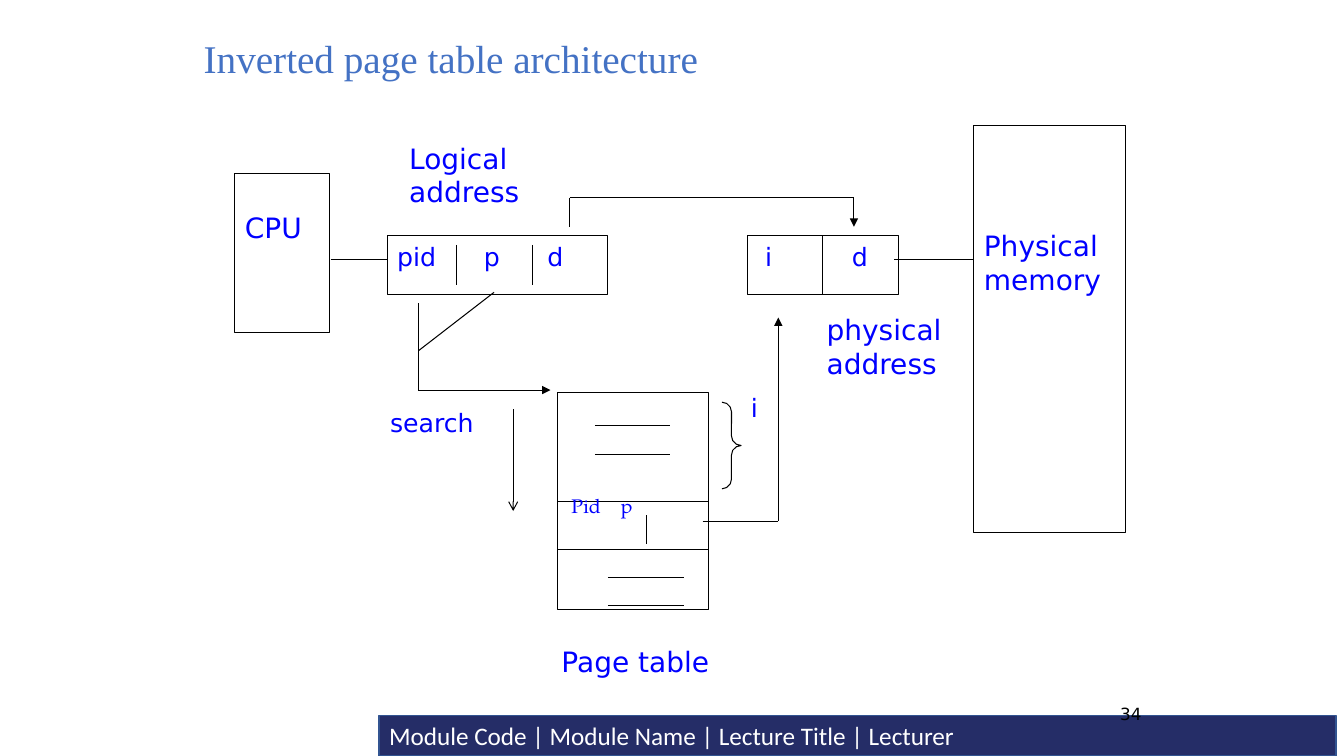
import pptx
import pptx.util
import pptx.dml.color
import pptx.enum.shapes
import pptx.enum.text
import pptx.oxml
import pptx.oxml.ns

RGB = pptx.dml.color.RGBColor
SHAPE = pptx.enum.shapes.MSO_SHAPE
ALIGN = pptx.enum.text.PP_ALIGN
ANCHOR = pptx.enum.text.MSO_ANCHOR
BLUE = RGB(0x00, 0x00, 0xFF)
TITLE_BLUE = RGB(0x44, 0x72, 0xC4)
NAVY = RGB(0x25, 0x2D, 0x67)
NAVY_EDGE = RGB(0x32, 0x54, 0x91)
WHITE = RGB(0xFF, 0xFF, 0xFF)
BLACK = RGB(0x00, 0x00, 0x00)
PX = 9144
BODY_FONT = "DejaVu Sans"


def px(*lengths):
    """Turn whole px into EMU."""
    return [pptx.util.Emu(n * PX) for n in lengths]


def write(sp, lines, size, color=BLUE, font=BODY_FONT, anchor=ANCHOR.TOP,
          align=ALIGN.LEFT, spacing=1.0):
    """Fill a shape with formatted lines of text."""
    tf = sp.text_frame
    margins = dict(zip(("margin_left", "margin_top", "margin_right", "margin_bottom"),
                       px(10, 5, 10, 5)))
    for name, value in {"word_wrap": True, "vertical_anchor": anchor, **margins}.items():
        setattr(tf, name, value)
    tf.text = lines
    for p in tf.paragraphs:
        p.alignment, p.line_spacing = align, spacing
        for r in p.runs:
            values = {"name": font, "size": pptx.util.Pt(size), "bold": False}
            for name, value in values.items():
                setattr(r.font, name, value)
            r.font.color.rgb = color


def label(s, x, y, w, h, lines, size, **style):
    """Add a text box."""
    write(s.shapes.add_textbox(*px(x, y, w, h)), lines, size, **style)


def shape(s, box, kind=SHAPE.RECTANGLE, fill=WHITE, line=BLACK, width=0.75):
    """Add a flat outlined preset shape."""
    sp = s.shapes.add_shape(kind, *px(*box))
    sp.shadow.inherit = False
    if fill is None:
        sp.fill.background()
    else:
        sp.fill.solid()
        sp.fill.fore_color.rgb = fill
    sp.line.color.rgb = line
    sp.line.width = pptx.util.Pt(width)
    return sp


def line(s, x1, y1, x2, y2, head=None):
    """Add a thin black line, with an arrowhead at its end if named."""
    c = s.shapes.add_connector(pptx.enum.shapes.MSO_CONNECTOR.STRAIGHT, *px(x1, y1, x2, y2))
    c.line.color.rgb = BLACK
    c.line.width = pptx.util.Pt(0.75)
    if head:
        tail = pptx.oxml.parse_xml(
            f'<a:tailEnd {pptx.oxml.ns.nsdecls("a")} type="{head}"/>')
        c.line._get_or_add_ln().append(tail)
    effects = pptx.oxml.parse_xml(f'<a:effectLst {pptx.oxml.ns.nsdecls("a")}/>')
    c._element.spPr.append(effects)


def path_lines(s, points, head=None):
    """Join points with lines, the last one carrying the arrowhead."""
    legs = list(zip(points, points[1:]))
    for i, (start, end) in enumerate(legs):
        line(s, *start, *end, head if i == len(legs) - 1 else None)


def title(s, x, y, w, h):
    """Place the title."""
    sp = s.shapes.title
    for name, value in zip(("left", "top", "width", "height"), px(x, y, w, h)):
        setattr(sp, name, value)
    write(sp, "Inverted page table architecture", 28, color=TITLE_BLUE,
          font="Times New Roman", anchor=ANCHOR.MIDDLE, spacing=0.9)


def footer(s, x, y, w, h):
    """Draw the footer bar and the page number."""
    sp = shape(s, (x, y, w, h), fill=NAVY, line=NAVY_EDGE, width=1)
    write(sp, "Module Code | Module Name | Lecture Title | Lecturer", 18,
          color=WHITE, font="Calibri", anchor=ANCHOR.MIDDLE)
    label(s, x + 666, y - 27, 100, 50, "34", 12, color=BLACK,
          anchor=ANCHOR.MIDDLE, align=ALIGN.RIGHT)


def unit(s, x, y, w, h, lines, drop):
    """Draw a hardware block with its name set down from the top."""
    shape(s, (x, y, w, h))
    label(s, x, y + drop, w, 80, lines, 20)


def address(s, x, y, w, h, fields, dividers, inset):
    """Draw an address register from its fields and divider offsets."""
    shape(s, (x, y, w, h))
    for dx, text in fields:
        label(s, x + dx, y, 70, h, text, 18)
    for dx in dividers:
        line(s, x + dx, y + inset, x + dx, y + h - inset)


def page_table(s, x, y, w, h):
    """Draw the page table with its matching entry, brace and caption."""
    shape(s, (x, y, w, h))
    for dy in (109, 156):
        line(s, x, y + dy, x + w, y + dy)
    for dx, dy in ((37, 33), (37, 62), (50, 184), (50, 212)):
        line(s, x + dx, y + dy, x + dx + 75, y + dy)
    for dx, text in ((4, "Pid"), (53, "p")):
        label(s, x + dx, y + 99, 60, 34, text, 14, font="TeX Gyre Pagella", spacing=0.9)
    line(s, x + 88, y + 122, x + 88, y + 151)
    brace = shape(s, (x + 163, y + 10, 19, 86), SHAPE.RIGHT_BRACE, fill=None)
    brace.adjustments[0] = brace.adjustments[1] = 0.5
    label(s, x + 182, y - 5, 37, 43, "i", 18)
    label(s, x - 6, y + 245, 169, 58, "Page table", 20)


def flows(s):
    """Draw the lines that carry addresses between the parts."""
    line(s, 328, 257, 384, 257)
    line(s, 887, 257, 966, 257)
    path_lines(s, [(565, 225), (565, 196), (847, 196), (847, 225)], "triangle")
    path_lines(s, [(415, 301), (415, 387), (546, 387)], "triangle")
    line(s, 490, 290, 415, 348)
    path_lines(s, [(697, 517), (772, 517), (772, 315)], "triangle")
    line(s, 509, 406, 509, 507, "arrow")
    label(s, 377, 399, 132, 58, "search", 18)


def main():
    """Build and save the slide."""
    prs = pptx.Presentation()
    prs.slide_width, prs.slide_height = px(1333, 750)
    s = prs.slides.add_slide(prs.slide_layouts[5])
    title(s, 192, 32, 942, 57)
    footer(s, 376, 710, 949, 40)
    unit(s, 233, 172, 94, 158, "CPU", 32)
    unit(s, 966, 125, 150, 403, "Physical\nmemory", 97)
    address(s, 384, 234, 219, 58, [(0, "pid"), (86, "p"), (149, "d")], (69, 144), 9)
    address(s, 741, 234, 150, 58, [(8, "i"), (94, "d")], (75,), 0)
    label(s, 396, 135, 150, 72, "Logical address", 20)
    label(s, 810, 305, 150, 72, "physical address", 20)
    page_table(s, 553, 389, 150, 216)
    flows(s)
    prs.save("out.pptx")


if __name__ == "__main__":
    main()
